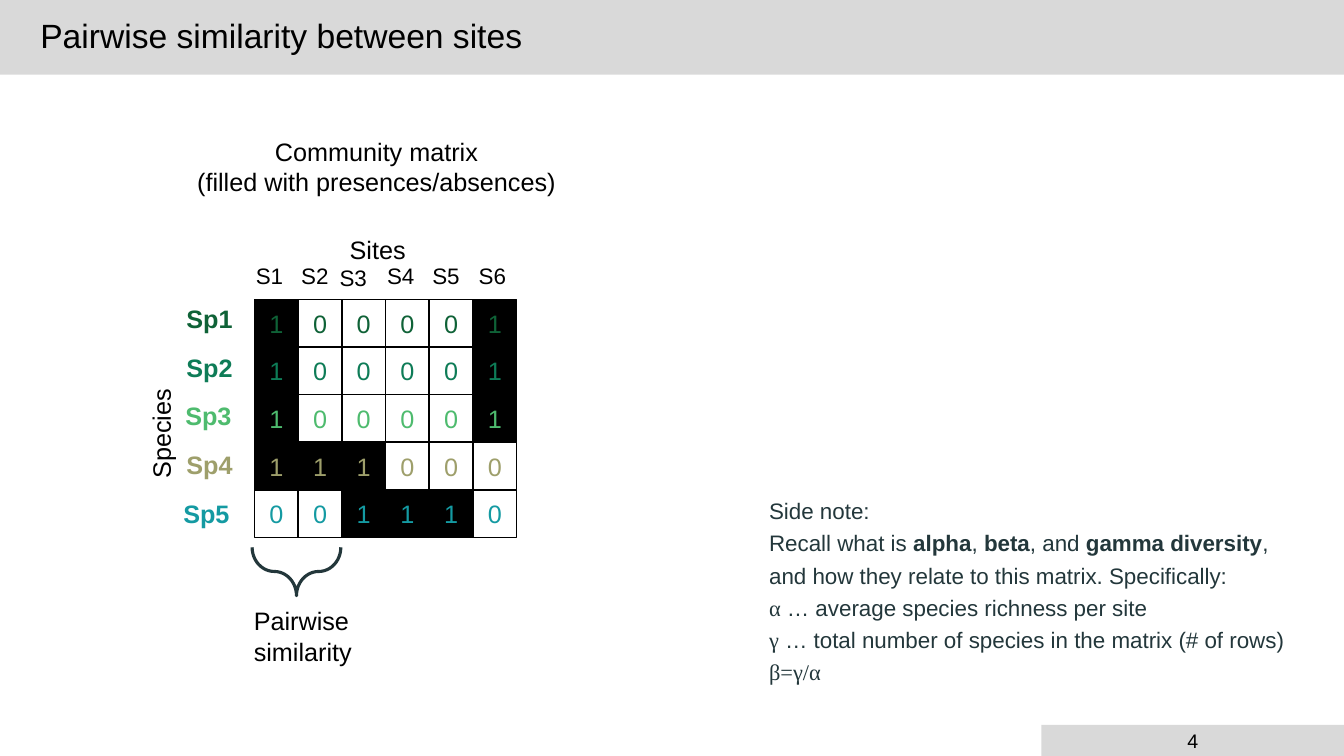
from dataclasses import dataclass
from typing import NamedTuple

from pptx import Presentation
from pptx.dml.color import RGBColor
from pptx.enum.shapes import MSO_SHAPE as Kind
from pptx.enum.text import MSO_ANCHOR as Anchor, MSO_AUTO_SIZE as Fit, PP_ALIGN as Align
from pptx.util import Inches, Pt

BLACK = RGBColor(0x00, 0x00, 0x00)
GREY = RGBColor(0xD9, 0xD9, 0xD9)
SLATE = RGBColor(0x23, 0x37, 0x3B)
PINE = RGBColor(0x0F, 0x62, 0x37)
JADE = RGBColor(0x0E, 0x7C, 0x57)
GREEN = RGBColor(0x4E, 0xBB, 0x6E)
KHAKI = RGBColor(0x9E, 0x9F, 0x6B)
TEAL = RGBColor(0x14, 0x9A, 0xA2)
SANS, SERIF = "Arial", "Times New Roman"


class Box(NamedTuple):
    """Left, top, width and height as percent of the slide."""
    left: float
    top: float
    wide: float
    tall: float


class Run(NamedTuple):
    words: str
    bold: bool = False
    face: str = SANS


@dataclass
class Species:
    name: str
    tint: RGBColor
    left: float
    marks: str


@dataclass
class Site:
    name: str
    left: float
    top: float = 34


@dataclass
class Label:
    words: str
    box: Box
    align: Align = Align.LEFT
    turn: int = 0


SPECIES = [
    Species("Sp1", PINE, 13.13, "100001"),
    Species("Sp2", JADE, 13.13, "100001"),
    Species("Sp3", GREEN, 13.05, "100001"),
    Species("Sp4", KHAKI, 13.13, "111000"),
    Species("Sp5", TEAL, 12.9, "001110"),
]
SITES = [
    Site("S1", 18.3),
    Site("S2", 21.68),
    Site("S3", 24.53, 34.27),
    Site("S4", 28.06),
    Site("S5", 31.43),
    Site("S6", 34.88),
]
LABELS = [
    Label("Sites", Box(25.28, 30.4, 6.68, 6.8)),
    Label("Species", Box(6.98, 52.13, 10.5, 6.27), turn=270),
    Label("Community matrix\n(filled with presences/absences)",
          Box(13.8, 17.33, 28.43, 9.47), Align.CENTER),
    Label("Pairwise\nsimilarity", Box(18.15, 79.47, 8.85, 9.47)),
]
NOTE = [
    [Run("Side note:")],
    [Run("Recall what is "), Run("alpha", True), Run(", "), Run("beta", True),
     Run(", and "), Run("gamma diversity", True),
     Run(", and how they relate to this matrix. Specifically:")],
    [Run("α", face=SERIF), Run(" … average species richness per site")],
    [Run("γ", face=SERIF),
     Run(" … total number of species in the matrix (# of rows)")],
    [Run("β=γ/α", face=SERIF)],
]
GRID = Box(18.94, 39.6, 3.25, 6.3)
NAME_TOP, NAME_STEP = 39.47, 6.43

deck = Presentation()
deck.slide_width, deck.slide_height = Inches(13.33), Inches(7.5)
slide = deck.slides.add_slide(deck.slide_layouts[6])


def place(box: Box) -> list[int]:
    sides = (deck.slide_width, deck.slide_height) * 2
    return [round(part * side / 100) for part, side in zip(box, sides)]


def write(frame, lines, *, size=18, tint=BLACK, bold=False, align=Align.LEFT,
          gap=None, anchor=Anchor.TOP) -> None:
    frame.vertical_anchor = anchor
    if isinstance(lines, str):
        lines = [[Run(line, bold)] for line in lines.split("\n")]
    for index, line in enumerate(lines):
        para = frame.add_paragraph() if index else frame.paragraphs[0]
        para.alignment = align
        if gap:
            para.line_spacing = gap
        for piece in line:
            run = para.add_run()
            run.text = piece.words
            font = run.font
            font.name, font.size, font.bold = piece.face, Pt(size), piece.bold
            font.color.rgb = tint


def add_text(box: Box, lines, *, wrap=False, turn=0, **style) -> None:
    shape = slide.shapes.add_textbox(*place(box))
    shape.rotation = turn
    frame = shape.text_frame
    frame.word_wrap = wrap
    frame.auto_size = Fit.SHAPE_TO_FIT_TEXT
    write(frame, lines, **style)


def add_form(kind: Kind, box: Box, fill=None, line=None, weight=1.0):
    shape = slide.shapes.add_shape(kind, *place(box))
    shape.shadow.inherit = False
    if fill is None:
        shape.fill.background()
    else:
        shape.fill.solid()
        shape.fill.fore_color.rgb = fill
    if line is None:
        shape.line.fill.background()
    else:
        shape.line.color.rgb = line
        shape.line.width = Pt(weight)
    return shape


def add_bars() -> None:
    title = add_form(Kind.RECTANGLE, Box(0, 0, 100, 9.87), GREY).text_frame
    title.margin_left = round(deck.slide_width * 0.03)
    write(title, "Pairwise similarity between sites", size=24, gap=0.9,
          anchor=Anchor.MIDDLE)
    foot = add_form(Kind.RECTANGLE, Box(77.49, 95.87, 22.51, 4.13), GREY)
    write(foot.text_frame, "4", size=14, align=Align.CENTER, anchor=Anchor.MIDDLE)


def add_matrix() -> None:
    for row, kin in enumerate(SPECIES):
        add_text(Box(kin.left, NAME_TOP + row * NAME_STEP, 5.78, 6.8),
                 kin.name, tint=kin.tint, bold=True)
        for col, mark in enumerate(kin.marks):
            box = Box(GRID.left + col * GRID.wide, GRID.top + row * GRID.tall,
                      GRID.wide, GRID.tall)
            cell = add_form(Kind.RECTANGLE, box,
                            BLACK if mark == "1" else None, BLACK)
            write(cell.text_frame, mark, tint=kin.tint, align=Align.CENTER,
                  anchor=Anchor.MIDDLE)
    for site in SITES:
        add_text(Box(site.left, site.top, 4.13, 6.27), site.name, size=16)


def add_brace() -> None:
    brace = add_form(Kind.RIGHT_BRACE, Box(20.26, 69.73, 3.6, 11.73),
                     line=SLATE, weight=2.25)
    brace.rotation = 90
    brace.adjustments[0] = 0.583
    brace.adjustments[1] = 0.5


def main() -> None:
    add_bars()
    add_brace()
    add_text(Box(56.49, 64.4, 40.81, 26.8), NOTE, wrap=True, size=16,
             tint=SLATE, gap=1.2)
    add_matrix()
    for label in LABELS:
        add_text(label.box, label.words, align=label.align, turn=label.turn)
    deck.save("out.pptx")


if __name__ == "__main__":
    main()
